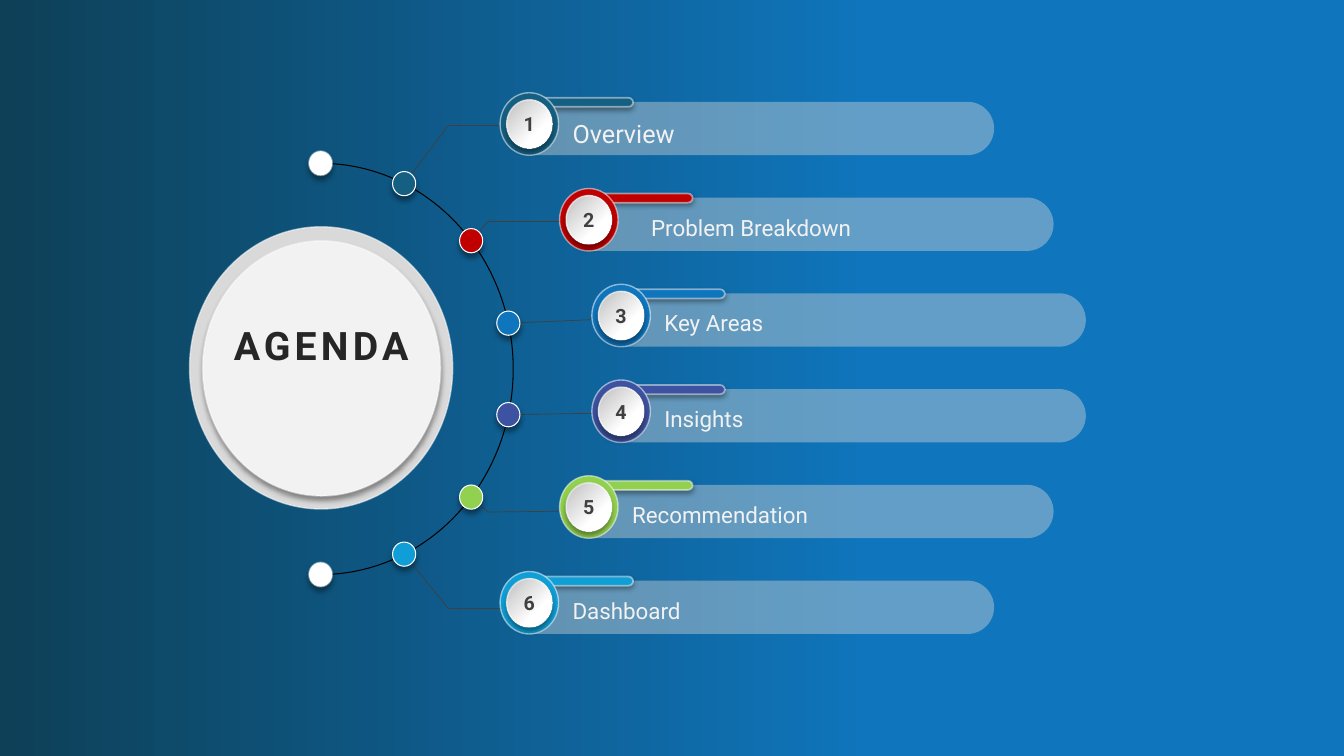
import math
from lxml import etree
from pptx import Presentation
from pptx.dml.color import RGBColor
from pptx.enum import shapes as es, text as et
from pptx.oxml import ns
from pptx.util import Inches, Pt

WHITE = RGBColor(0xFF, 0xFF, 0xFF)
BLACK = RGBColor(0, 0, 0)
NAVY = RGBColor(0x0E, 0x40, 0x57)
BLUE = RGBColor(0x0F, 0x75, 0xBC)
TEAL = RGBColor(0x15, 0x60, 0x82)
RED = RGBColor(0xC0, 0, 0)
VIOLET = RGBColor(0x3D, 0x52, 0xA0)
GREEN = RGBColor(0x92, 0xD0, 0x50)
CYAN = RGBColor(0x0F, 0x9E, 0xD5)
SILVER = RGBColor(0xC7, 0xC7, 0xC7)
GRAY = RGBColor(0xD9, 0xD9, 0xD9)
PALE = RGBColor(0xF2, 0xF2, 0xF2)
DARK = RGBColor(0x40, 0x40, 0x40)
INK = RGBColor(0x26, 0x26, 0x26)

OVAL = es.MSO_SHAPE.OVAL
ROUND = es.MSO_SHAPE.ROUNDED_RECTANGLE

deck = Presentation()
deck.slide_width, deck.slide_height = Inches(13.33), Inches(7.5)
slide = deck.slides.add_slide(deck.slide_layouts[6])
back = slide.background.fill
back.gradient()
back.gradient_angle = 0
for stop, spot, tint in zip(back.gradient_stops, (0, 0.65), (NAVY, BLUE)):
    stop.position, stop.color.rgb = spot, tint


def plate(kind, x, y, w, h, tint, width=0, clear=100, drop=0, solid=100):
    item = slide.shapes.add_shape(kind, Inches(x), Inches(y), Inches(w), Inches(h))
    if kind == ROUND:
        item.adjustments[0] = 0.5
    item.fill.solid()
    item.fill.fore_color.rgb = tint
    if width:
        item.line.color.rgb = WHITE
        item.line.width = Pt(width)
    else:
        item.line.fill.background()
    item.shadow.inherit = False
    prop = item.element.spPr
    alphas = [("a:solidFill/a:srgbClr", solid), ("a:ln/a:solidFill/a:srgbClr", clear)]
    if drop:
        cast = etree.SubElement(prop.find(ns.qn("a:effectLst")), ns.qn("a:outerShdw"),
                                blurRad=str(Pt(4)), dist=str(Pt(drop)), dir="5400000",
                                algn="t", rotWithShape="0")
        etree.SubElement(cast, ns.qn("a:srgbClr"), val=str(BLACK))
        alphas.append(("a:effectLst/a:outerShdw/a:srgbClr", 40))
    for route, part in alphas:
        for node in prop.xpath(route):
            if part < 100:
                etree.SubElement(node, ns.qn("a:alpha"), val=str(part * 1000))
    return item


def write(item, words, size, tint, bold=False):
    frame = item.text_frame
    frame.word_wrap = True
    frame.text = words
    font = frame.paragraphs[0].runs[0].font
    font.name, font.size, font.bold = "Roboto", Pt(size), bold
    font.color.rgb = tint
    return frame


mid_x, mid_y, rad_x, rad_y = 3.18, 3.66, 1.91, 2.04
dots = []
for step in range(8):
    turn = math.pi * step / 7
    dots.append((mid_x + rad_x * math.sin(turn), mid_y - rad_y * math.cos(turn)))

leads = [
    [(4.45, 1.24), (5.08, 1.24)],
    [(4.84, 2.2), (5.71, 2.2)],
    [(5.91, 3.17)],
    [(5.91, 4.1)],
    [(4.84, 5.08), (5.71, 5.07)],
    [(4.45, 6.04), (5.08, 6.04)],
]
for dot, lead in zip(dots[1:7], leads):
    for start, end in zip([dot] + lead, lead):
        link = slide.shapes.add_connector(es.MSO_CONNECTOR.STRAIGHT,
                                          *[Inches(v) for v in start + end])
        link.line.color.rgb = DARK
        link.line.width = Pt(0.5)
        etree.SubElement(link.element.spPr, ns.qn("a:effectLst"))

arc = slide.shapes.add_shape(es.MSO_SHAPE.ARC, Inches(mid_x - rad_x), Inches(mid_y - rad_y),
                             Inches(2 * rad_x), Inches(2 * rad_y))
arc.adjustments[0], arc.adjustments[1] = 162, 54
arc.fill.background()
arc.line.color.rgb = BLACK
arc.line.width = Pt(0.75)
arc.shadow.inherit = False

tints = [WHITE, TEAL, RED, BLUE, VIOLET, GREEN, CYAN, WHITE]
for (x, y), tint in zip(dots, tints):
    width, clear = (1.25, 42) if tint == WHITE else (0.75, 100)
    plate(OVAL, x - 0.115, y - 0.12, 0.23, 0.24, tint, width, clear, 3)

plate(OVAL, 1.88, 2.25, 2.61, 2.8, GRAY, 1, 52)
plate(OVAL, 2.01, 2.39, 2.36, 2.53, PALE, 1.25, 42, 3)
title = slide.shapes.add_textbox(Inches(1.84), Inches(3.14), Inches(2.69), Inches(0.88))
para = write(title, "AGENDA", 28, INK, True).paragraphs[0]
para.alignment = et.PP_ALIGN.CENTER
para.runs[0].font._element.set("spc", "300")

rows = [
    ("Overview", 4.96, 0.62, 18),
    ("Problem Breakdown", 5.55, 0.81, 16),
    ("Key Areas", 5.87, 0.62, 16),
    ("Insights", 5.87, 0.62, 16),
    ("Recommendation", 5.55, 0.62, 16),
    ("Dashboard", 4.96, 0.62, 16),
]
for num, (words, x, gap, size) in enumerate(rows):
    y = 0.92 + 0.95 * num
    tint = tints[num + 1]
    plate(ROUND, x + 0.06, y + 0.09, 4.84, 0.53, GRAY, solid=42)
    plate(ROUND, x + 0.25, y + 0.05, 1.07, 0.09, tint, 1.25, 48, 2)
    plate(OVAL, x, y, 0.58, 0.62, tint, 1, 52)
    badge = plate(OVAL, x + 0.065, y + 0.07, 0.45, 0.48, WHITE, 1.25, 42, 3)
    badge.fill.gradient()
    badge.fill.gradient_angle = 315
    for stop, spot, shade in zip(badge.fill.gradient_stops, (0.09, 0.68), (SILVER, WHITE)):
        stop.position, stop.color.rgb = spot, shade
    frame = write(badge, str(num + 1), 14, DARK, True)
    frame.margin_left = frame.margin_right = frame.margin_top = frame.margin_bottom = 0
    frame.vertical_anchor = et.MSO_ANCHOR.MIDDLE
    frame.paragraphs[0].alignment = et.PP_ALIGN.CENTER
    label = slide.shapes.add_textbox(Inches(x + gap), Inches(y + 0.15), Inches(4.28), Inches(0.5))
    frame = write(label, words, size, PALE)
    frame.margin_top = frame.margin_bottom = Inches(0.1)

deck.save("out.pptx")
